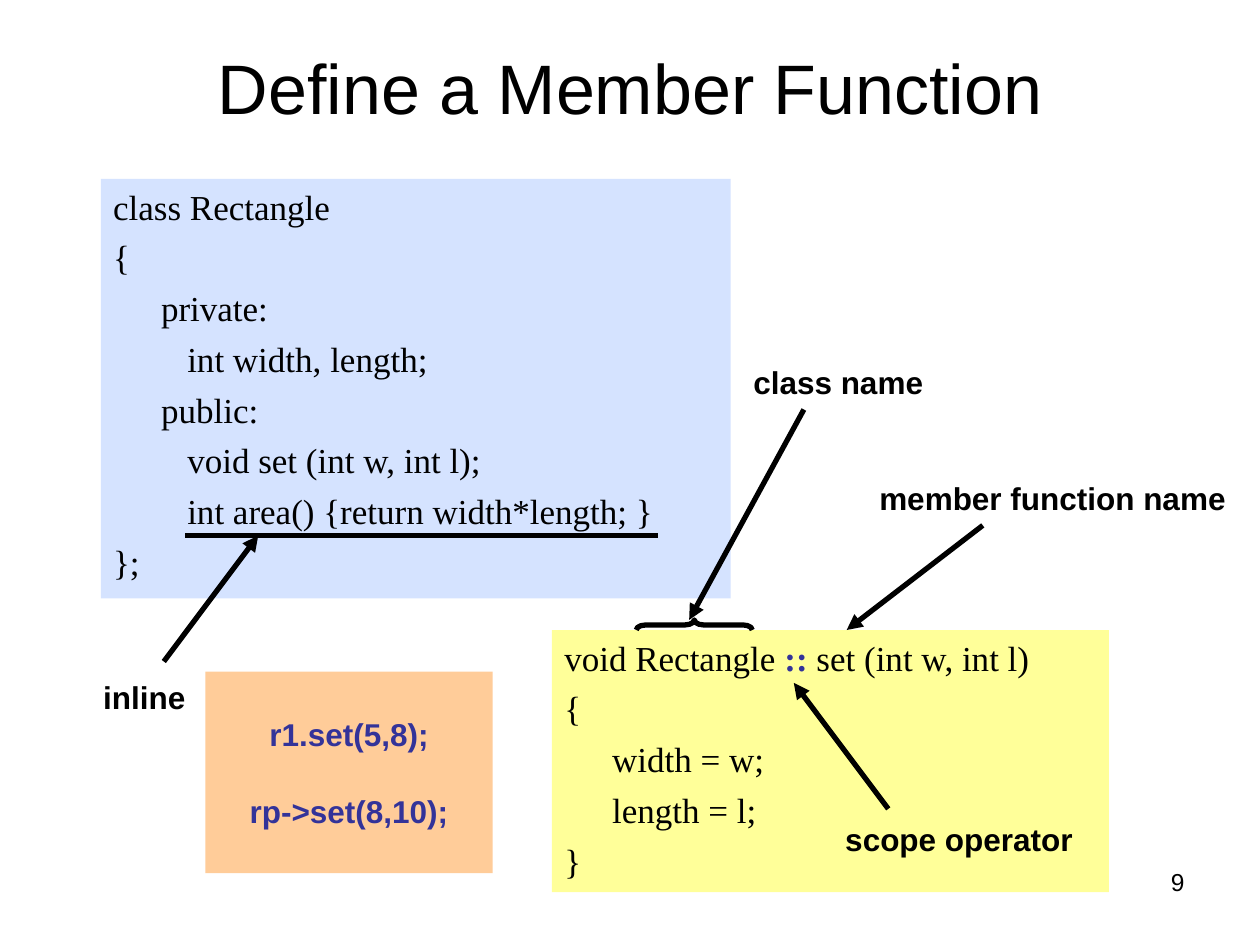
from lxml import etree
from pptx import Presentation
from pptx.dml.color import RGBColor
from pptx.enum.shapes import MSO_CONNECTOR as Connector, MSO_SHAPE as Shape
from pptx.enum.text import MSO_ANCHOR as Anchor, PP_ALIGN as Align
from pptx.oxml.ns import qn
from pptx.util import Inches, Pt

COLORS = {
    "black": "000000",
    "indigo": "333399",
    "class": "D5E3FF",
    "definition": "FFFF99",
    "calls": "FFCC99",
}

deck = Presentation()
deck.slide_width, deck.slide_height = Inches(10), Inches(7.5)
slide = deck.slides.add_slide(deck.slide_layouts[6])


def add_text(box, lines, size=18, font="Arial", color="black", bold=False,
             align=Align.LEFT, anchor=Anchor.TOP, wrap=True, gap=0, hanging=0,
             fill=None):
    left, top, width, height = map(Inches, box)
    if fill:
        panel = slide.shapes.add_shape(Shape.RECTANGLE, left, top, width, height)
        panel.shadow.inherit = False
        panel.fill.solid()
        panel.fill.fore_color.rgb = RGBColor.from_string(COLORS[fill])
        panel.line.fill.background()
    else:
        panel = slide.shapes.add_textbox(left, top, width, height)
    frame = panel.text_frame
    frame.word_wrap = wrap
    frame.vertical_anchor = anchor
    for i, line in enumerate(lines):
        paragraph = frame.add_paragraph() if i else frame.paragraphs[0]
        paragraph.alignment = align
        paragraph.space_before = Pt(gap if i else 0)
        if hanging:
            properties = paragraph._p.get_or_add_pPr()
            properties.set("marL", str(Inches(hanging)))
            properties.set("indent", str(-Inches(hanging)))
        pieces = [(line, color, bold)] if isinstance(line, str) else line
        for words, ink, heavy in pieces:
            run = paragraph.add_run()
            run.text = words
            run.font.name = font
            run.font.size = Pt(size)
            run.font.bold = heavy
            run.font.color.rgb = RGBColor.from_string(COLORS[ink])


def add_line(start, end, arrow=True):
    line = slide.shapes.add_connector(
        Connector.STRAIGHT, *map(Inches, start), *map(Inches, end))
    line.line.color.rgb = RGBColor.from_string(COLORS["black"])
    line.line.width = Pt(3)
    if arrow:
        etree.SubElement(line.line._get_or_add_ln(), qn("a:tailEnd"), type="triangle")
    etree.SubElement(line._element.spPr, qn("a:effectLst"))


add_text((7.17, 6.83, 2.33, 0.52), ["9"], size=14, align=Align.RIGHT)
add_text((0.5, 0.3, 9, 0.78), ["Define a Member Function"], size=40,
         align=Align.CENTER, anchor=Anchor.MIDDLE)

code = dict(size=20, font="Times New Roman", gap=5, hanging=0.38)
class_lines = [
    "class Rectangle",
    "{",
    "\tprivate:",
    "\t   int width, length;",
    "\tpublic:",
    "\t   void set (int w, int l);",
    "\t   int area() {return width*length; }",
    "};",
]
definition_lines = [
    [("void Rectangle ", "black", False), ("::", "indigo", True),
     (" set (int w, int l)", "black", False)],
    "{",
    "\twidth = w;",
    "\tlength = l;",
    "}",
]
add_text((0.8, 1.42, 5, 3.33), class_lines, fill="class", **code)
add_text((4.38, 5, 4.42, 2.08), definition_lines, fill="definition", **code)

add_line((1.47, 4.25), (5.22, 4.25), arrow=False)

brace = slide.shapes.add_shape(
    Shape.LEFT_BRACE, Inches(5.47), Inches(4.5), Inches(0.08), Inches(0.92))
brace.rotation = 90
brace.adjustments[0] = 0.92
brace.shadow.inherit = False
brace.fill.background()
brace.line.color.rgb = RGBColor.from_string(COLORS["black"])
brace.line.width = Pt(3)

callouts = [
    ("inline", (0.72, 5.33, 0.85, 0.4), (1.3, 5.25), (2.05, 4.25)),
    ("class name", (5.88, 2.83, 1.55, 0.4), (6.38, 3.25), (5.47, 4.92)),
    ("member function name", (6.88, 3.75, 2.95, 0.4), (7.8, 4.17), (6.72, 5)),
    ("scope operator", (6.61, 6.46, 2.01, 0.4), (7.05, 6.42), (6.3, 5.42)),
]
for label, box, start, end in callouts:
    add_text(box, [label], bold=True, wrap=False)
    add_line(start, end)

add_text((1.63, 5.33, 2.28, 1.6), ["r1.set(5,8);", "rp->set(8,10);"],
         color="indigo", bold=True, align=Align.CENTER, anchor=Anchor.MIDDLE,
         gap=22, fill="calls")

deck.save("out.pptx")
